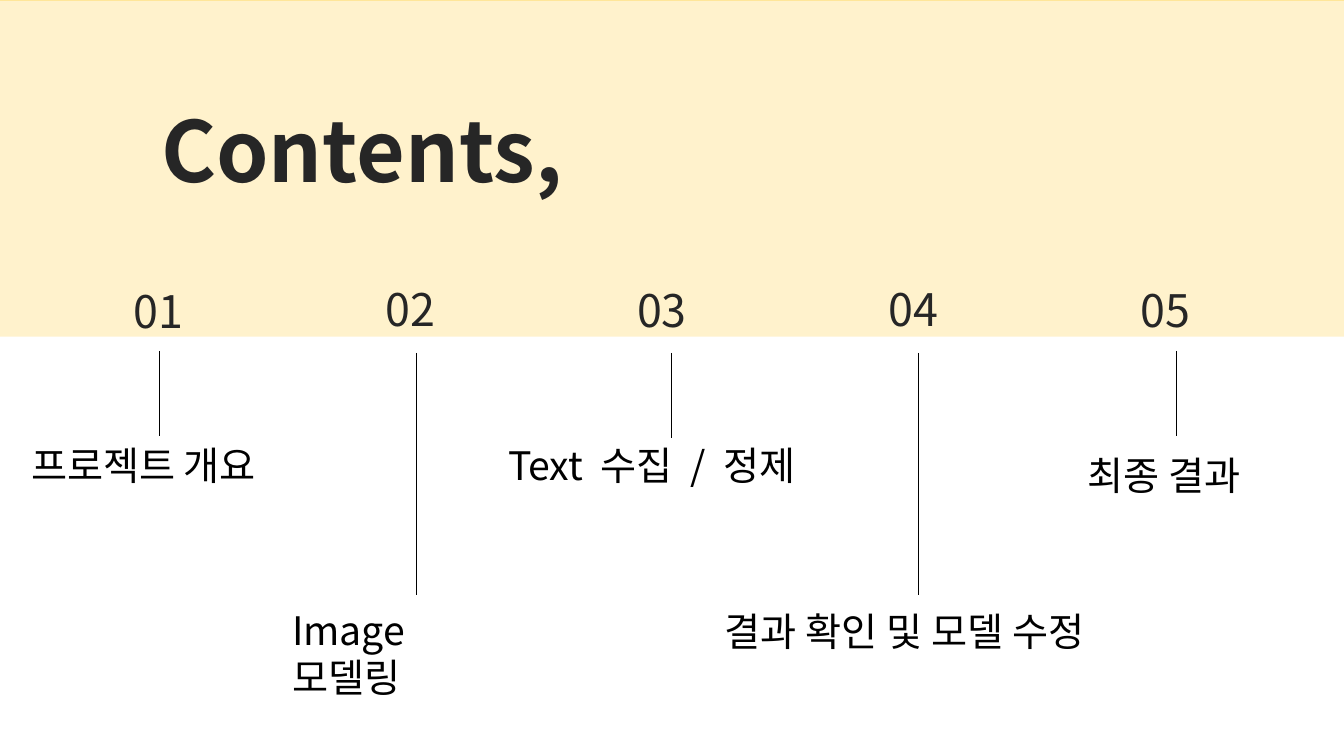
from pptx import Presentation
from pptx.dml.color import RGBColor
from pptx.enum.dml import MSO_PATTERN
from pptx.enum.shapes import MSO_CONNECTOR, MSO_SHAPE
from pptx.util import Inches, Pt
from lxml.etree import SubElement
from pptx.oxml.ns import qn

# Content: label, label box (left, top, width), number top, line (x, top, bottom)
TITLE = "Contents,"
SECTIONS = [
    ("프로젝트 개요", (0.21, 4.38, 3.42), 2.77, (1.58, 3.48, 4.33)),
    ("Image\v모델링", (2.8, 5.97, 2.54), 2.75, (4.13, 3.5, 5.9)),
    ("Text 수집 / 정제", (4.94, 4.33, 3.55), 2.76, (6.66, 3.5, 4.35)),
    ("결과 확인 및 모델 수정", (7.09, 5.98, 4.22), 2.75, (9.11, 3.5, 5.9)),
    ("최종 결과", (10.69, 4.43, 1.96), 2.76, (11.67, 3.48, 4.33)),
]
LABEL_FORMATS = {0: {"line_spacing": 0.9}, 2: {"word_gap": 6.3}}

COLORS = {"cream": "FFF2CC", "gold": "FFE699", "panel": "FFFFFF",
          "ink": "262626", "black": "000000"}
FONT = "Noto Sans CJK KR"
WIDTH, HEIGHT = 13.33, 7.5
PANEL_TOP = 3.34
NUMBER_LEFT, NUMBER_STEP = 1.23, 2.495


def color(name):
    return RGBColor.from_string(COLORS[name])


def add_text(slide, text, left, top, width, height, *, size=28, ink="black",
             bold=False, line_spacing=None, word_gap=0):
    """Add a text box; word_gap widens each space by that many points."""
    box = slide.shapes.add_textbox(*map(Inches, (left, top, width, height)))
    box.text_frame.word_wrap = True
    paragraph = box.text_frame.paragraphs[0]
    paragraph.line_spacing = line_spacing
    if word_gap:
        words = text.split(" ")
        for word in words[:-1]:
            paragraph.add_run().text = word
            space = paragraph.add_run()
            space.text = " "
            space.font._element.set("spc", str(round(word_gap * 100)))
        paragraph.add_run().text = words[-1]
    else:
        paragraph.text = text
    for run in paragraph.runs:
        run.font.name, run.font.size, run.font.bold = FONT, Pt(size), bold
        run.font.color.rgb = color(ink)
        SubElement(run.font._element, qn("a:ea")).set("typeface", FONT)


def add_line(slide, x, top, bottom):
    line = slide.shapes.add_connector(
        MSO_CONNECTOR.STRAIGHT, *map(Inches, (x, top, x, bottom)))
    line.line.color.rgb = color("black")
    line.line.width = Pt(0.5)
    SubElement(line._element.spPr, qn("a:effectLst"))


def main():
    presentation = Presentation()
    presentation.slide_width = Inches(WIDTH)
    presentation.slide_height = Inches(HEIGHT)
    slide = presentation.slides.add_slide(presentation.slide_layouts[6])

    # Striped background and white lower panel
    background = slide.background.fill
    background.patterned()
    background.pattern = MSO_PATTERN.DARK_HORIZONTAL
    background.fore_color.rgb = color("cream")
    background.back_color.rgb = color("gold")
    panel = slide.shapes.add_shape(
        MSO_SHAPE.RECTANGLE,
        *map(Inches, (0, PANEL_TOP, WIDTH, HEIGHT - PANEL_TOP)))
    panel.shadow.inherit = False
    panel.fill.solid()
    panel.fill.fore_color.rgb = color("panel")
    panel.line.fill.background()

    # Title, then number, line and label of each section
    add_text(slide, TITLE, 1.5, 0.93, 4.26, 1.11, size=60, ink="ink", bold=True)
    for index, (label, box, number_top, line) in enumerate(SECTIONS):
        add_text(slide, f"{index + 1:02}", NUMBER_LEFT + index * NUMBER_STEP,
                 number_top, 1.21, 0.64, size=32, ink="ink")
        add_line(slide, *line)
        add_text(slide, label, *box, 0.57, **LABEL_FORMATS.get(index, {}))

    presentation.save("out.pptx")


if __name__ == "__main__":
    main()
